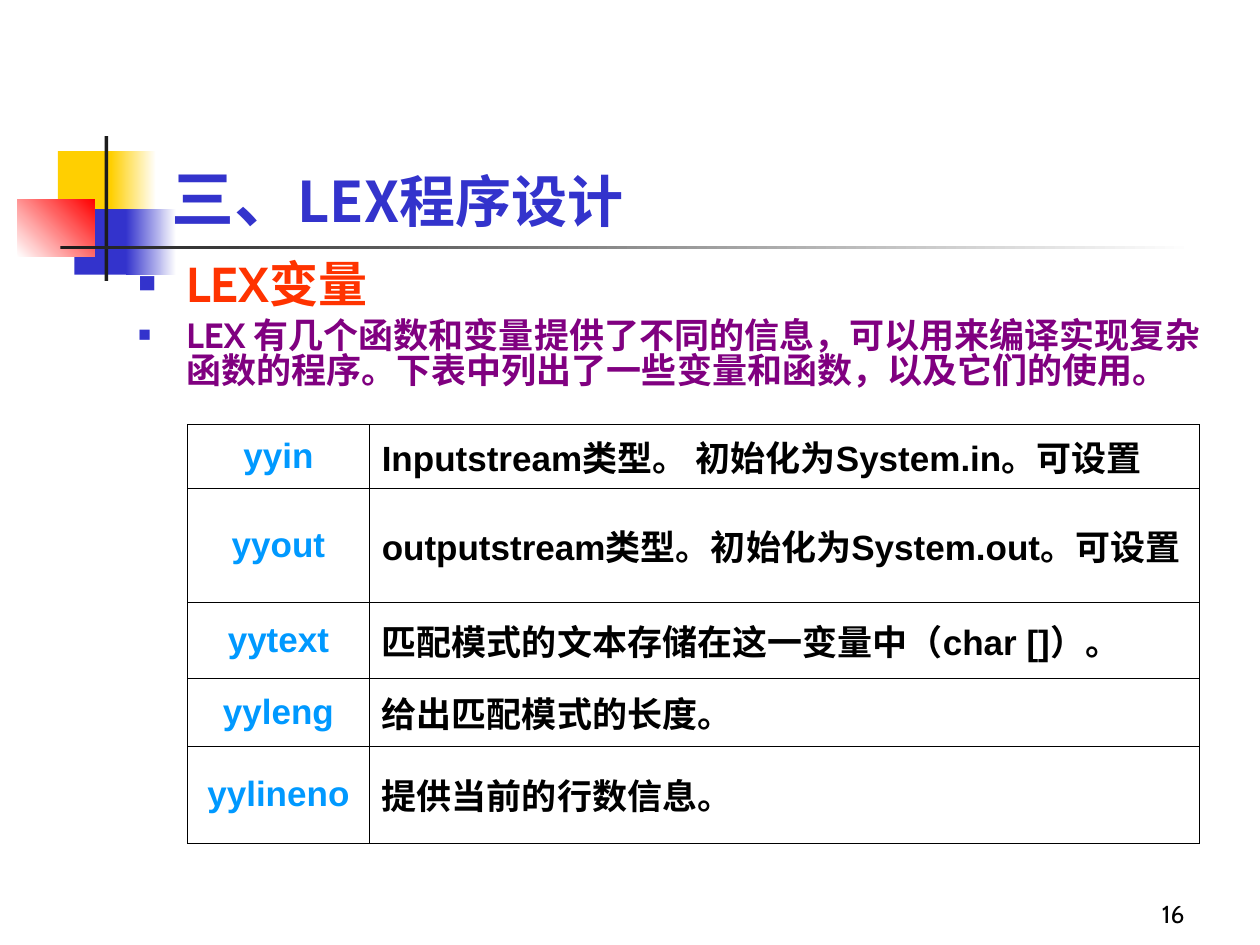
import pptx
import pptx.dml.color
import pptx.enum.shapes
import pptx.enum.text
import pptx.oxml
import pptx.oxml.ns
import pptx.util
from lxml import etree
from pptx.util import Inches

COLORS = {
    "yellow": "FFCF01", "blue": "3333CC", "red": "FF0000", "white": "FFFFFF",
    "charcoal": "1C1C1C", "heading": "FF3300", "purple": "800080",
    "name": "0099FF", "black": "000000",
}
CJK_FONT = "Noto Sans CJK SC"
ALIGN = pptx.enum.text.PP_ALIGN
ANCHOR = pptx.enum.text.MSO_ANCHOR
VARIABLES = [
    ("yyin", "Inputstream类型。 初始化为System.in。可设置", 0.43),
    ("yyout", "outputstream类型。初始化为System.out。可设置", 0.77),
    ("yytext", "匹配模式的文本存储在这一变量中（char []）。", 0.6),
    ("yyleng", "给出匹配模式的长度。", 0.54),
    ("yylineno", "提供当前的行数信息。", 0.77),
]


def rgb(color):
    return pptx.dml.color.RGBColor.from_string(COLORS[color])


def add_element(parent, tag, **attributes):
    return etree.SubElement(parent, pptx.oxml.ns.qn(tag), attributes)


def format_run(run, size, font, color, bold=True):
    run.font.name = font
    run.font.size = pptx.util.Pt(size)
    run.font.bold = bold
    run.font.color.rgb = rgb(color)
    add_element(run.font._element, "a:ea", typeface=CJK_FONT)


def add_block(slide, left, top, width, height, colors, angle=0):
    """Draw a rectangle in one colour, or in a gradient between two."""
    shape = slide.shapes.add_shape(
        pptx.enum.shapes.MSO_SHAPE.RECTANGLE,
        Inches(left), Inches(top), Inches(width), Inches(height))
    shape.shadow.inherit = False
    shape.line.fill.background()
    if len(colors) == 1:
        shape.fill.solid()
        shape.fill.fore_color.rgb = rgb(colors[0])
        return
    shape.fill.gradient()
    shape.fill.gradient_angle = angle
    for stop, color in zip(shape.fill.gradient_stops, colors):
        stop.color.rgb = rgb(color)


def add_ornament(slide, left, top):
    blocks = [
        (0.32, 0.12, 0.48, 0.52, ["yellow"]),
        (0.74, 0.12, 0.36, 0.52, ["yellow", "white"]),
        (0.45, 0.58, 0.46, 0.52, ["blue"]),
        (0.86, 0.58, 0.4, 0.52, ["blue", "white"]),
        (0, 0.5, 0.61, 0.46, ["white", "red"], 45),
        (0.69, 0, 0.03, 1.15, ["charcoal"]),
        (0.34, 0.87, 9, 0.03, ["charcoal", "white"]),
    ]
    for x, y, *rest in blocks:
        add_block(slide, left + x, top + y, *rest)


def place_title(slide, left, top, width, height):
    title = slide.shapes.title
    slide.shapes._spTree.append(title._element)  # bring in front of the ornament
    title.left, title.top = Inches(left), Inches(top)
    title.width, title.height = Inches(width), Inches(height)
    title.text_frame.vertical_anchor = ANCHOR.BOTTOM
    paragraph = title.text_frame.paragraphs[0]
    paragraph.alignment = ALIGN.LEFT
    for text, size in [("三、", 36), ("LEX程序设计", 32)]:
        run = paragraph.add_run()
        run.text = text
        format_run(run, size, CJK_FONT, "blue")


def add_text_frame(slide, left, top, width, height):
    box = slide.shapes.add_textbox(
        Inches(left), Inches(top), Inches(width), Inches(height))
    box.text_frame.word_wrap = True
    return box.text_frame


def add_bullet(paragraph):
    properties = paragraph._p.get_or_add_pPr()
    properties.set("marL", str(Inches(0.38)))
    properties.set("indent", str(-Inches(0.38)))
    color = add_element(properties, "a:buClr")
    add_element(color, "a:srgbClr", val=COLORS["blue"])
    add_element(properties, "a:buSzPct", val="60000")
    add_element(properties, "a:buFont", typeface="Arial")
    add_element(properties, "a:buChar", char="■")


def add_body(slide, left, top, width, height):
    frame = add_text_frame(slide, left, top, width, height)
    frame.text = (
        "LEX变量\n"
        "LEX 有几个函数和变量提供了不同的信息，可以用来编译实现复杂函数的程序。"
        "下表中列出了一些变量和函数，以及它们的使用。")
    styles = [(28, "heading", 0), (20, "purple", 5)]
    for paragraph, (size, color, space) in zip(frame.paragraphs, styles):
        add_bullet(paragraph)
        paragraph.line_spacing = 0.83
        paragraph.space_before = pptx.util.Pt(space)
        format_run(paragraph.runs[0], size, "Cabin", color)


def add_borders(cell):
    properties = cell._tc.get_or_add_tcPr()
    for side in ("L", "R", "T", "B"):
        line = add_element(properties, f"a:ln{side}", w=str(pptx.util.Pt(0.45)))
        fill = add_element(line, "a:solidFill")
        add_element(fill, "a:srgbClr", val=COLORS["black"])


def fill_cell(cell, text, color, alignment):
    add_borders(cell)
    cell.fill.solid()
    cell.fill.fore_color.rgb = rgb("white")
    cell.vertical_anchor = ANCHOR.MIDDLE
    cell.text_frame.text = text
    paragraph = cell.text_frame.paragraphs[0]
    paragraph.alignment = alignment
    format_run(paragraph.runs[0], 20, "Arial", color)


def add_variable_table(slide, left, top, width):
    height = sum(row[2] for row in VARIABLES)
    table = slide.shapes.add_table(
        len(VARIABLES), 2, Inches(left), Inches(top),
        Inches(width), Inches(height)).table
    table.first_row = table.horz_banding = False
    name_width = 1.44
    table.columns[0].width = Inches(name_width)
    table.columns[1].width = Inches(width - name_width)
    for index, (name, description, row_height) in enumerate(VARIABLES):
        table.rows[index].height = Inches(row_height)
        fill_cell(table.cell(index, 0), name, "name", ALIGN.CENTER)
        fill_cell(table.cell(index, 1), description, "black", ALIGN.LEFT)


def add_slide_number(slide, left, top, width, height):
    frame = add_text_frame(slide, left, top, width, height)
    frame.vertical_anchor = ANCHOR.BOTTOM
    frame.text = "16"
    paragraph = frame.paragraphs[0]
    paragraph.alignment = ALIGN.RIGHT
    format_run(paragraph.runs[0], 14, "Cabin", "black", bold=False)


def main():
    presentation = pptx.Presentation()
    presentation.slide_width = Inches(10)
    presentation.slide_height = Inches(7.5)
    slide = presentation.slides.add_slide(presentation.slide_layouts[5])
    add_ornament(slide, 0.14, 1.08)
    add_body(slide, 1, 2.04, 8.78, 5.04)
    add_slide_number(slide, 7.42, 6.92, 2.08, 0.5)
    place_title(slide, 1.26, 1.07, 8.52, 0.85)
    add_variable_table(slide, 1.49, 3.37, 8.03)
    presentation.save("out.pptx")


if __name__ == "__main__":
    main()
